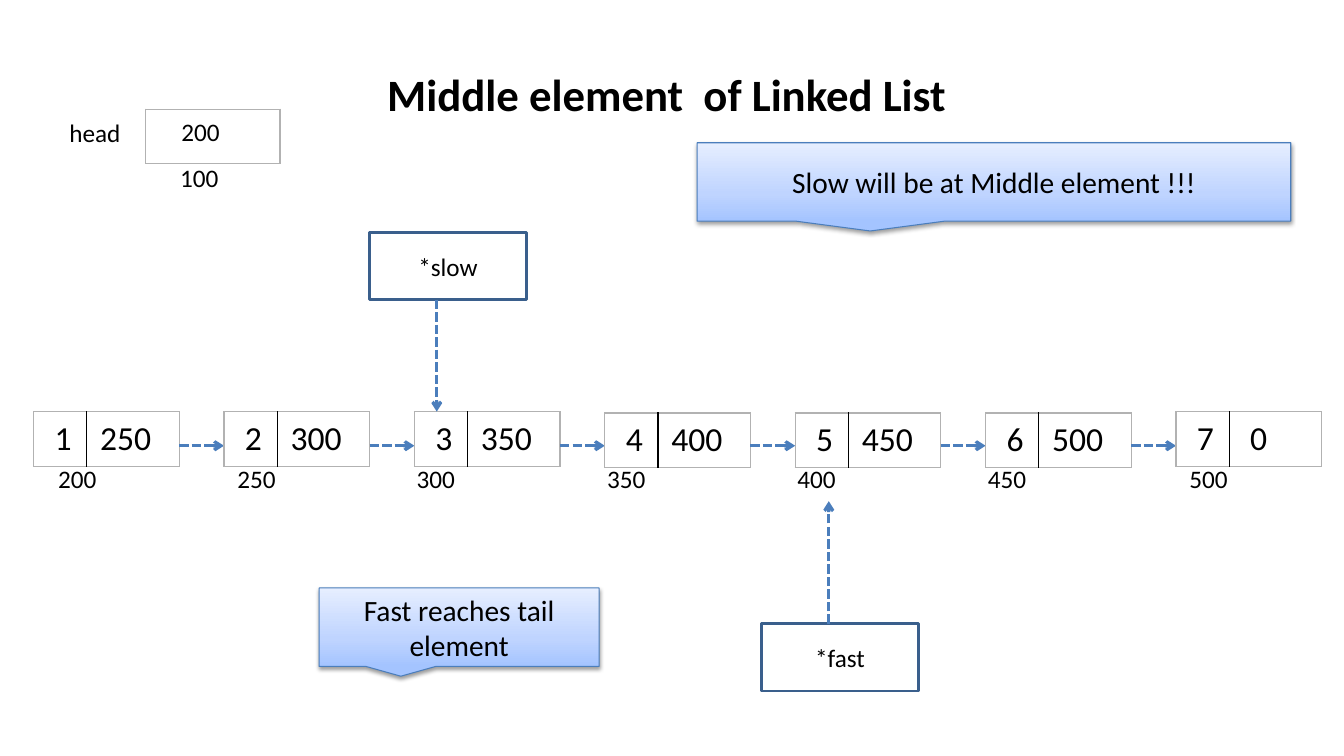
from pptx import Presentation
from pptx.dml.color import RGBColor
from pptx.enum.dml import MSO_LINE
from pptx.enum.shapes import MSO_CONNECTOR, MSO_SHAPE
from pptx.enum.text import MSO_ANCHOR, PP_ALIGN
from pptx.oxml import parse_xml
from pptx.oxml.ns import nsdecls, qn
from pptx.util import Pt

LINE = MSO_CONNECTOR.STRAIGHT
DASH = MSO_LINE.SQUARE_DOT
RECT = MSO_SHAPE.RECTANGLE
CALLOUT = MSO_SHAPE.RECTANGULAR_CALLOUT
MIDDLE, TOP = MSO_ANCHOR.MIDDLE, MSO_ANCHOR.TOP
CENTER, LEFT = PP_ALIGN.CENTER, PP_ALIGN.LEFT

BLACK = RGBColor(0x00, 0x00, 0x00)
WHITE = RGBColor(0xFF, 0xFF, 0xFF)
BLUE = RGBColor(0x4B, 0x7E, 0xBC)
NAVY = RGBColor(0x3A, 0x5F, 0x8C)
GREY = RGBColor(0xB2, 0xB2, 0xB2)
SHADES = [(0, "A4C4FF"), (35, "BFD4FF"), (100, "E6EEFF")]
FONT = "Calibri"

TITLE = "Middle element  of Linked List "
# value, next address, own address, left of address, top of node
NODES = [
    ("1", "250", "200", 32, 294),
    ("2", "300", "250", 160, 294),
    ("3", "350", "300", 288, 294),
    ("4", "400", "350", 424, 295),
    ("5", "450", "400", 560, 295),
    ("6", "500", "450", 696, 295),
    ("7", "0", "500", 840, 294),
]
HEAD = [("head", 40, 79), ("200", 120, 78), ("100", 119, 111)]
POINTERS = [("*fast", 544, 445.6), ("*slow", 264, 166)]
POINTS = [((592, 445.6), (592, 358)), ((312, 214), (312, 294))]
CALLOUTS = [
    ("Fast reaches tail element", 228, 420, 200),
    ("Slow will be at Middle element !!!", 498, 102, 424),
]
START, STEP, ROW, LINK = 24, 136, 39, 318.4
COLS = [38, 66]
PAD, SPACE = 9.6, 5.4

deck = Presentation()
deck.slide_width, deck.slide_height = Pt(960), Pt(540)
slide = deck.slides.add_slide(deck.slide_layouts[6])
shapes = slide.shapes


def write(frame, text, size, align=LEFT, anchor=TOP, bold=False):
    frame.word_wrap = True
    frame.vertical_anchor = anchor
    frame.margin_left = frame.margin_right = Pt(PAD)
    frame.margin_top = frame.margin_bottom = Pt(4.8)
    frame.text = text
    para = frame.paragraphs[0]
    para.alignment = align
    font = para.runs[0].font
    font.name, font.size, font.bold = FONT, Pt(size), bold
    font.color.rgb = BLACK


def label(text, x, y):
    box = shapes.add_textbox(Pt(x), Pt(y), Pt(80), Pt(32))
    write(box.text_frame, text, 18)


def arrow(start, end):
    link = shapes.add_connector(LINE, *map(Pt, start + end))
    link.line.color.rgb = BLUE
    link.line.width = Pt(2.25)
    link.line.dash_style = DASH
    props = link._element.spPr
    props.find(qn("a:ln")).append(
        parse_xml(f'<a:tailEnd {nsdecls("a")} type="arrow"/>'))
    props.append(parse_xml(f'<a:effectLst {nsdecls("a")}/>'))


def block(kind, x, y, w, h, text, size, edge, width):
    """Add an outlined shape with centred text."""
    box = shapes.add_shape(kind, Pt(x), Pt(y), Pt(w), Pt(h))
    box.shadow.inherit = False
    box.fill.solid()
    box.fill.fore_color.rgb = WHITE
    box.line.color.rgb = edge
    box.line.width = Pt(width)
    write(box.text_frame, text, size, CENTER, MIDDLE)
    return box


def shade(box):
    """Give a box the blue gradient and a soft shadow below."""
    stops = "".join(f'<a:gs pos="{pos * 1000}"><a:srgbClr val="{tint}"/></a:gs>'
                    for pos, tint in SHADES)
    props = box._element.spPr
    props.replace(props.find(qn("a:solidFill")), parse_xml(
        f'<a:gradFill {nsdecls("a")} rotWithShape="1"><a:gsLst>{stops}</a:gsLst>'
        '<a:lin ang="16200000" scaled="0"/></a:gradFill>'))
    props.find(qn("a:effectLst")).append(parse_xml(
        f'<a:outerShdw {nsdecls("a")} blurRad="{Pt(3.1)}" dist="{Pt(1.6)}" '
        'dir="5400000" rotWithShape="0"><a:srgbClr val="000000">'
        '<a:alpha val="38000"/></a:srgbClr></a:outerShdw>'))


def grid(x, y, cols, texts):
    """Add a one-row table: grey outside, black between cells."""
    table = shapes.add_table(1, len(cols), Pt(x), Pt(y),
                             Pt(sum(cols)), Pt(ROW)).table
    table.first_row = table.horz_banding = False
    table.rows[0].height = Pt(ROW)
    last = len(cols) - 1
    for i, (wide, text) in enumerate(zip(cols, texts)):
        table.columns[i].width = Pt(wide)
        cell = table.cell(0, i)
        if text:
            write(cell.text_frame, text, 24)
        short = len(text) == 1
        cell.margin_left = Pt(PAD + SPACE * short)
        cell.margin_right = Pt(PAD)
        cell.margin_top = cell.margin_bottom = Pt(4.8)
        cell.fill.background()
        sides = {"L": i > 0, "R": i < last, "T": False, "B": False}
        for at, (side, inner) in enumerate(sides.items()):
            tint = BLACK if inner else GREY
            cell._tc.get_or_add_tcPr().insert(at, parse_xml(
                f'<a:ln{side} {nsdecls("a")} w="{Pt(1)}"><a:solidFill>'
                f'<a:srgbClr val="{tint}"/></a:solidFill></a:ln{side}>'))


title = shapes.add_textbox(Pt(48), Pt(21.6), Pt(864), Pt(90))
write(title.text_frame, TITLE, 32, CENTER, MIDDLE, True)

grid(104, 78, [96], [""])
for item in HEAD:
    label(*item)

for i, (value, link, spot, left, top) in enumerate(NODES):
    x = START + i * STEP
    grid(x, top, COLS, [value, link])
    label(spot, left, 326)
    if i < len(NODES) - 1:
        arrow((x + sum(COLS), LINK), (x + STEP, LINK))

for text, x, y in POINTERS:
    block(RECT, x, y, 112, 48, text, 18, NAVY, 2)
for start, end in POINTS:
    arrow(start, end)
for text, x, y, wide in CALLOUTS:
    shade(block(CALLOUT, x, y, wide, 56, text, 21, BLUE, 0.75))

deck.save("out.pptx")
